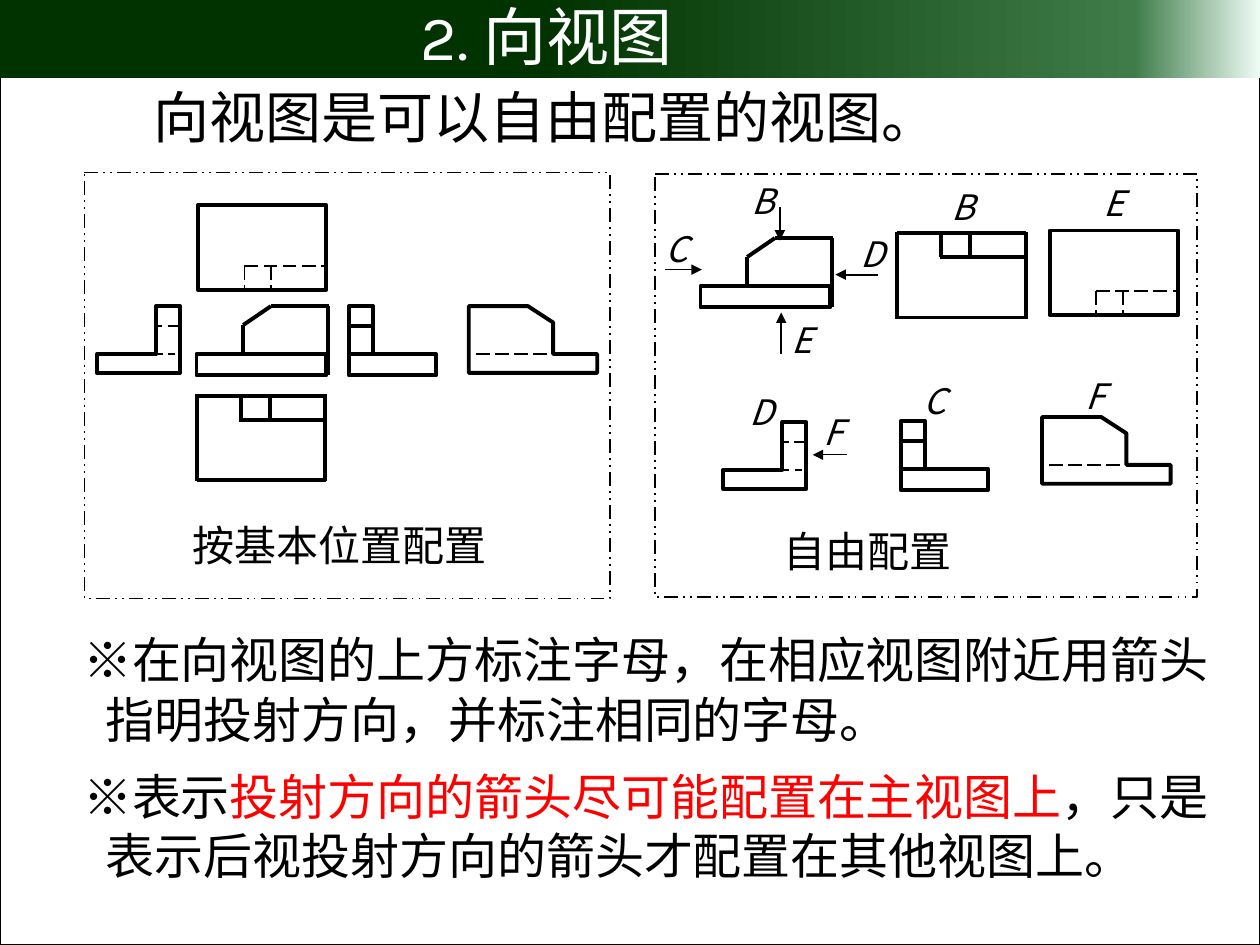
from copy import deepcopy

from lxml import etree
from pptx import Presentation
from pptx.dml.color import RGBColor
from pptx.enum.dml import MSO_LINE
from pptx.enum.shapes import MSO_CONNECTOR, MSO_SHAPE
from pptx.enum.text import MSO_ANCHOR, MSO_AUTO_SIZE, PP_ALIGN
from pptx.oxml.ns import qn
from pptx.util import Inches, Pt

RECT = MSO_SHAPE.RECTANGLE
STRAIGHT = MSO_CONNECTOR.STRAIGHT
LONG_DASH = MSO_LINE.LONG_DASH
SHORT_DASH = MSO_LINE.DASH
DASH_DOT_DOT = MSO_LINE.DASH_DOT_DOT
MIDDLE = MSO_ANCHOR.MIDDLE
NO_AUTOFIT = MSO_AUTO_SIZE.NONE
LEFT = PP_ALIGN.LEFT

THEME = {
    "ink": RGBColor.from_string("000000"),
    "white": RGBColor.from_string("FFFFFF"),
    "accent": RGBColor.from_string("FF0000"),
    "banner": [(0.43, "003300"), (0.9, "3F7C49"), (1, "EEFCF6")],
    "latin": "Karla",
    "cjk": "Noto Sans CJK SC",
    "title": 36, "heading": 32, "note": 28, "caption": 24, "label": 20,
}
# Stroke styles: width in points, dash
STROKES = {
    "edge": (2.25, None),
    "hidden": (1, LONG_DASH),
    "short": (1, SHORT_DASH),
    "arrow": (1, None),
    "fine arrow": (0.75, None),
    "frame": (1, DASH_DOT_DOT),
}

# The six views, each in inches from its own top left corner
VIEWS = {
    "front": [
        ("edge", [(0, 0.55), (1.03, 0.55), (1.03, 0.38), (0, 0.38)]),
        ("edge", [(1.04, 0.55), (1.04, 0)]),
        ("edge", [(0.37, 0.38), (0.37, 0.15)]),
        ("edge", [(1.05, 0), (0.59, 0)]),
        ("edge", [(0.37, 0.15), (0.59, 0)]),
    ],
    "top": [
        ("edge", [(0, 0.01), (1.02, 0.01)]),
        ("edge", [(1.02, 0), (1.02, 0.69)]),
        ("edge", [(1.03, 0.68), (0, 0.68)]),
        ("edge", [(0, 0.69), (0, 0)]),
        ("edge", [(0.34, 0.2), (1.03, 0.2)]),
        ("edge", [(0.35, 0.01), (0.35, 0.2)]),
        ("edge", [(0.58, 0.01), (0.58, 0.2)]),
    ],
    "bottom": [
        ("edge", [(0, 0), (1.02, 0), (1.02, 0.67), (0, 0.67)]),
        ("hidden", [(0.37, 0.48), (1.02, 0.48)]),
        ("hidden", [(0.37, 0.48), (0.37, 0.68)]),
        ("hidden", [(0.58, 0.48), (0.58, 0.67)]),
    ],
    "left": [
        ("edge", [(0, 0.38), (0.69, 0.38), (0.69, 0.55), (0, 0.55)]),
        ("edge", [(0, 0.38), (0, 0), (0.19, 0), (0.19, 0.38)]),
        ("edge", [(0, 0.16), (0.18, 0.16)]),
    ],
    "right": [
        ("edge", [(0.66, 0.53), (0.66, 0), (0.47, 0), (0.47, 0.38), (0, 0.38), (0, 0.53)]),
        ("hidden", [(0.67, 0.16), (0.47, 0.16)]),
        ("short", [(0.47, 0.38), (0.66, 0.38)]),
    ],
    "rear": [
        ("edge", [(0, 0.53), (1.02, 0.53), (1.02, 0.38), (0.67, 0.38),
                  (0.67, 0.13), (0.47, 0), (0, 0)]),
        ("hidden", [(0.62, 0.38), (0, 0.38)]),
    ],
}

# Two panels: frame, caption, view places, letters, arrows
PANELS = [
    {
        "frame": (0.67, 1.37, 4.17, 3.38),
        "caption": ("按基本位置配置", 1.43, 4.07, 2.55),
        "views": {"front": (1.56, 2.43), "top": (1.56, 3.13), "rear": (3.72, 2.43),
                  "left": (2.77, 2.43), "right": (0.77, 2.43), "bottom": (1.57, 1.63)},
        "letters": [],
        "arrows": [],
    },
    {
        "frame": (5.2, 1.38, 4.3, 3.36),
        "caption": ("自由配置", 6.12, 4.12, 1.54),
        "views": {"top": (7.12, 1.84), "bottom": (8.33, 1.83), "front": (5.56, 1.89),
                  "right": (5.74, 3.35), "left": (7.15, 3.34), "rear": (8.27, 3.31)},
        "letters": [("C", 5.18, 1.76), ("D", 6.73, 1.8), ("D", 5.85, 3.05),
                    ("B", 7.45, 1.42), ("B", 5.87, 1.38), ("C", 7.23, 2.96),
                    ("E", 6.18, 2.48), ("E", 8.66, 1.39), ("F", 6.44, 3.21),
                    ("F", 8.52, 2.92)],
        "arrows": [("arrow", [(6.2, 2.81), (6.2, 2.48)]),
                   ("arrow", [(6.97, 2.18), (6.63, 2.18)]),
                   ("fine arrow", [(6.19, 1.64), (6.19, 1.91)]),
                   ("fine arrow", [(5.28, 2.14), (5.57, 2.14)]),
                   ("fine arrow", [(6.72, 3.61), (6.45, 3.61)])],
    },
]

NOTES = [
    [[("※在向视图的上方标注字母，在相应视图附近用箭头", "ink")],
     [("指明投射方向，并标注相同的字母。", "ink")]],
    [[("※表示", "ink"), ("投射方向的箭头尽可能配置在主视图上", "accent"), ("，只是", "ink")],
     [("表示后视投射方向的箭头才配置在其他视图上。", "ink")]],
]


def draw_stroke(shapes, style, points, origin=(0, 0)):
    """Two points give a straight line, more give a closed outline."""
    spots = [(Inches(origin[0] + x), Inches(origin[1] + y)) for x, y in points]
    if len(spots) == 2:
        stroke = shapes.add_connector(STRAIGHT, *spots[0], *spots[1])
        etree.SubElement(stroke._element.spPr, qn("a:effectLst"))
    else:
        builder = shapes.build_freeform(*spots[0])
        builder.add_line_segments(spots[1:], close=True)
        stroke = builder.convert_to_shape()
        stroke.fill.background()
        stroke.shadow.inherit = False
    width, dash = STROKES[style]
    line_format = {"width": Pt(width), "dash_style": dash}
    stroke.line.color.rgb = THEME["ink"]
    for attribute, value in line_format.items():
        setattr(stroke.line, attribute, value)
    if "arrow" in style:
        etree.SubElement(stroke.line._get_or_add_ln(), qn("a:tailEnd"), type="triangle")


def write_text(paragraph, text, size, color="ink", face="latin", italic=None):
    run = paragraph.add_run()
    font_format = {"size": Pt(THEME[size]), "name": THEME[face], "italic": italic}
    run.text = text
    for attribute, value in font_format.items():
        setattr(run.font, attribute, value)
    run.font.color.rgb = THEME[color]
    east_asian = etree.SubElement(run.font._element, qn("a:ea"))
    east_asian.set("typeface", THEME["cjk"])


deck = Presentation()
deck.slide_width, deck.slide_height = Inches(10), Inches(7.5)
slide = deck.slides.add_slide(deck.slide_layouts[1])
title, notes = slide.placeholders
frame_format = {"auto_size": NO_AUTOFIT, "vertical_anchor": MIDDLE}

# Page border and title banner, behind everything else
border = slide.shapes.add_shape(RECT, 0, 0, Inches(10), Inches(7.5))
border.fill.background()
border.line.color.rgb = THEME["ink"]
border.line.width = Pt(0.75)
banner = slide.shapes.add_shape(RECT, 0, Inches(-0.02), Inches(10), Inches(0.64))
banner.line.fill.background()
banner.fill.gradient()
banner.fill.gradient_angle = 0
last_stop = banner.fill.gradient_stops[1]._gs
last_stop.addnext(deepcopy(last_stop))
for stop, (position, color) in zip(banner.fill.gradient_stops, THEME["banner"]):
    stop.position = position
    stop.color.rgb = RGBColor.from_string(color)
for layer, backdrop in enumerate((border, banner), start=2):
    backdrop.shadow.inherit = False
    slide.shapes._spTree.insert(layer, backdrop._element)

# Title, heading and notes
heading = slide.shapes.add_textbox(0, 0, 0, 0)
for holder, place, wrap in [(title, (3.24, -0.07, 2.32, 0.7), False),
                            (heading, (1.12, 0.61, 6.44, 0.63), False),
                            (notes, (0.56, 4.95, 9.44, 2.11), True)]:
    holder.left, holder.top, holder.width, holder.height = map(Inches, place)
    for attribute, value in {**frame_format, "word_wrap": wrap}.items():
        setattr(holder.text_frame, attribute, value)
title_line = title.text_frame.paragraphs[0]
title_line.alignment = LEFT
write_text(title_line, "2. 向视图", "title", "white")
write_text(heading.text_frame.paragraphs[0], "向视图是可以自由配置的视图。", "heading")

for number, lines in enumerate(NOTES):
    note = notes.text_frame.add_paragraph() if number else notes.text_frame.paragraphs[0]
    properties = note._p.get_or_add_pPr()
    properties.set("marL", str(Inches(0.18)))
    properties.set("indent", str(Inches(-0.18)))
    etree.SubElement(properties, qn("a:buNone"))
    note.line_spacing = Pt(34)
    note.space_before = Pt(10 if number else 0)
    for row, pieces in enumerate(lines):
        if row:
            note.add_line_break()
        for text, color in pieces:
            write_text(note, text, "note", color, "cjk")

# Panels of views
for panel in PANELS:
    shapes = slide.shapes.add_group_shape().shapes
    left, top, width, height = panel["frame"]
    draw_stroke(shapes, "frame", [(left, top), (left + width, top),
                                  (left + width, top + height), (left, top + height)])
    for view, origin in panel["views"].items():
        for style, points in VIEWS[view]:
            draw_stroke(shapes, style, points, origin)
    for style, points in panel["arrows"]:
        draw_stroke(shapes, style, points)

    caption, x, y, width = panel["caption"]
    labels = [(caption, x, y, width, 0.5, "caption", "latin", None)]
    labels += [(letter, x, y, 0.34, 0.43, "label", "cjk", True)
               for letter, x, y in panel["letters"]]
    for text, x, y, width, height, size, face, italic in labels:
        label = shapes.add_textbox(Inches(x), Inches(y), Inches(width), Inches(height))
        for attribute, value in {**frame_format, "word_wrap": False}.items():
            setattr(label.text_frame, attribute, value)
        write_text(label.text_frame.paragraphs[0], text, size, face=face, italic=italic)

deck.save("out.pptx")
